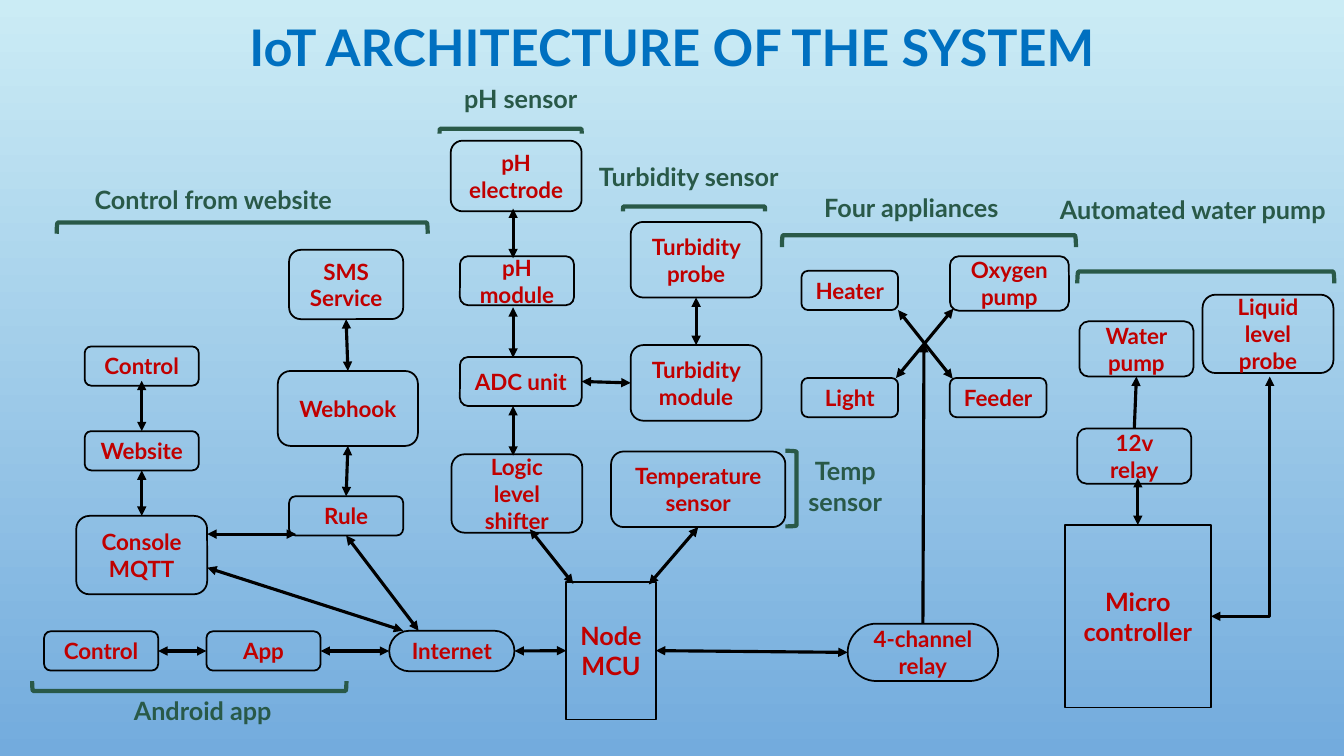
from typing import NamedTuple, Optional, Union

import lxml.etree
import pptx
import pptx.dml.color
import pptx.enum.shapes
import pptx.enum.text
import pptx.oxml.ns
import pptx.util

Pt = pptx.util.Pt
Shape = pptx.enum.shapes.MSO_SHAPE
Wire = pptx.enum.shapes.MSO_CONNECTOR
Align = pptx.enum.text.PP_ALIGN
Anchor = pptx.enum.text.MSO_ANCHOR
qn = pptx.oxml.ns.qn

FONT = "Lato"
BLACK, RED, GREEN, BLUE = "000000", "C00000", "295948", "0070C0"
ROUND, RECT = Shape.ROUNDED_RECTANGLE, Shape.RECTANGLE
TOP, LEFT, BOTTOM, RIGHT = range(4)


class Node(NamedTuple):
    key: str
    text: str
    x: float
    y: float
    w: float = 81.5
    h: float = 28
    form: int = ROUND
    size: int = 16
    curve: Optional[float] = None


class Point(NamedTuple):
    x: float
    y: float


class Joint(NamedTuple):
    key: str
    side: int


class Link(NamedTuple):
    start: Union[Point, Joint]
    end: Union[Point, Joint]
    both: bool = True
    bent: bool = False


class Group(NamedTuple):
    """A label with its bracket; turn 90 has the spine on top, 180 right, 270 below."""
    text: str
    label: tuple
    brace: tuple
    turn: int = 90
    align: int = Align.CENTER


NODES = [
    Node("mcu", "Node\nMCU", 404.5, 415.5, 64, 98.5, RECT, 18),
    Node("net", "Internet", 278, 450.5, 89.5, 29, curve=0.5),
    Node("app", "App", 147.5, 451),
    Node("phone", "Control", 31.5, 451),
    Node("mqtt", "Console MQTT", 54.5, 368.5, 93.5, 56),
    Node("site", "Website", 60.5, 308),
    Node("web", "Control", 60.5, 247.5),
    Node("rule", "Rule", 206.5, 354.5),
    Node("hook", "Webhook", 198.5, 265, 100, 53.5),
    Node("sms", "SMS Service", 206.5, 178.5, h=49.5),
    Node("shift", "Logic level shifter", 322.5, 324.5, 93.5, 56),
    Node("adc", "ADC unit", 328.5, 255, 87, 35),
    Node("ph", "pH module", 328.5, 183, h=35),
    Node("rod", "pH electrode", 322, 100.5, 93.5, 50.5),
    Node("turb", "Turbidity module", 450.5, 246.5, 93.5, 54),
    Node("probe", "Turbidity probe", 450.5, 158.5, 93.5, 54),
    Node("temp", "Temperature sensor", 436.5, 322.5, 124.5, 54),
    Node("four", "4-channel relay", 605.5, 445.5, 107.5, 41, curve=0.5),
    Node("light", "Light", 572.5, 270, 69),
    Node("feed", "Feeder", 678.5, 270, 69),
    Node("heat", "Heater", 572.5, 193.5, 69),
    Node("air", "Oxygen pump", 678.5, 183, 85, 39),
    Node("micro", "Micro\ncontroller", 760.5, 375, 104.5, 130.5, RECT, 18),
    Node("relay", "12v relay", 769.5, 306, h=39.5),
    Node("pump", "Water\npump", 771, 229.5, h=39.5),
    Node("level", "Liquid level probe", 859, 210.5, 93.5, 56),
]

LINKS = [
    Link(Joint("mcu", LEFT), Joint("net", RIGHT)),
    Link(Joint("net", LEFT), Joint("app", RIGHT)),
    Link(Joint("app", LEFT), Joint("phone", RIGHT)),
    Link(Point(288, 450.5), Point(148, 405.5)),
    Link(Joint("mqtt", TOP), Joint("site", BOTTOM)),
    Link(Joint("site", TOP), Point(101.25, 272)),
    Link(Point(299, 450.5), Joint("rule", BOTTOM)),
    Link(Joint("hook", TOP), Joint("sms", BOTTOM)),
    Link(Joint("rule", TOP), Joint("hook", BOTTOM)),
    Link(Point(148, 381.5), Point(211.5, 381.5)),
    Link(Point(366.5, 255.5), Point(366.5, 219.5)),
    Link(Point(366.5, 325.5), Point(366.5, 290)),
    Link(Point(366.5, 184.5), Point(366.5, 149)),
    Link(Point(409.5, 417), Point(378.5, 378)),
    Link(Joint("turb", TOP), Joint("probe", BOTTOM)),
    Link(Joint("adc", RIGHT), Joint("turb", LEFT)),
    Link(Point(463.5, 417.5), Joint("temp", BOTTOM)),
    Link(Joint("four", LEFT), Joint("mcu", RIGHT)),
    Link(Point(640, 270), Point(681, 220.5)),
    Link(Point(680.5, 270.5), Point(641.5, 221.5)),
    Link(Joint("four", TOP), Point(660, 245), both=False),
    Link(Joint("micro", TOP), Point(812.75, 341.5)),
    Link(Joint("relay", TOP), Joint("pump", BOTTOM), both=False),
    Link(Joint("micro", RIGHT), Point(907, 269), bent=True),
]

GROUPS = [
    Group("Android app", (88.5, 493, 131, 29), (23, 486.5, 224.5, 7), 270, Align.LEFT),
    Group("Control from website", (60.5, 128, 208, 29), (40.5, 159, 265, 8), align=Align.LEFT),
    Group("pH sensor", (268, 56, 208, 29), (314, 92, 101.5, 3.5)),
    Group("Turbidity sensor", (388, 111.5, 208, 29), (445, 147.5, 101.5, 3.5)),
    Group("Four appliances", (547, 134, 208, 29), (558.5, 168, 210, 8.5)),
    Group("Automated water pump", (748, 135.5, 208, 51), (769.5, 194, 183.5, 8.5)),
    Group("Temp\nsensor", (566, 322, 75.5, 51), (561, 322, 8, 54), 180),
]


def tint(code: str):
    return pptx.dml.color.RGBColor.from_string(code)


def write(frame, text: str, *, size: float, color: str, align=Align.CENTER,
          anchor=Anchor.TOP, space: float = 1.0) -> None:
    frame.word_wrap = True
    frame.vertical_anchor = anchor
    frame.text = text
    for para in frame.paragraphs:
        para.alignment = align
        para.line_spacing = space
        font = para.font
        font.name, font.size, font.bold = FONT, Pt(size), True
        font.color.rgb = tint(color)


def add_label(slide, text: str, area: tuple, **style) -> None:
    box = slide.shapes.add_textbox(*map(Pt, area))
    write(box.text_frame, text, **style)


def add_form(slide, form: int, area: tuple, color: str, width: float):
    """Add an unfilled preset shape."""
    shape = slide.shapes.add_shape(form, *map(Pt, area))
    shape.shadow.inherit = False
    shape.fill.background()
    shape.line.color.rgb = tint(color)
    shape.line.width = Pt(width)
    return shape


def add_node(slide, node: Node):
    shape = add_form(slide, node.form, (node.x, node.y, node.w, node.h), BLACK, 1.25)
    if node.curve is not None:
        shape.adjustments[0] = node.curve
    write(shape.text_frame, node.text, size=node.size, color=RED, anchor=Anchor.MIDDLE)
    return shape


def add_link(slide, link: Link, shapes: dict) -> None:
    kind = Wire.ELBOW if link.bent else Wire.STRAIGHT
    ends = [Point(0, 0) if isinstance(e, Joint) else e for e in (link.start, link.end)]
    wire = slide.shapes.add_connector(kind, *(Pt(v) for e in ends for v in e))
    for end, join in ((link.start, wire.begin_connect), (link.end, wire.end_connect)):
        if isinstance(end, Joint):
            join(shapes[end.key], end.side)
    wire.line.color.rgb = tint(BLACK)
    wire.line.width = Pt(2.25)
    props = wire._element.spPr
    if link.bent:
        props.find(qn("a:prstGeom")).set("prst", "bentConnector2")
    line = props.find(qn("a:ln"))
    for tag in ("a:headEnd", "a:tailEnd") if link.both else ("a:tailEnd",):
        lxml.etree.SubElement(line, qn(tag), type="triangle")
    lxml.etree.SubElement(props, qn("a:effectLst"))


def add_group(slide, group: Group) -> None:
    x, y, w, h = group.brace
    if group.turn != 180:
        x, y, w, h = x + (w - h) / 2, y + (h - w) / 2, h, w
    brace = add_form(slide, Shape.LEFT_BRACKET, (x, y, w, h), GREEN, 3)
    brace.rotation = group.turn
    add_label(slide, group.text, group.label, size=18, color=GREEN, align=group.align)


def main() -> None:
    deck = pptx.Presentation()
    deck.slide_width, deck.slide_height = Pt(960), Pt(540)
    slide = deck.slides.add_slide(deck.slide_layouts[6])
    fill = slide.background.fill
    fill.gradient()
    fill.gradient_angle = 270
    for stop, place, code in zip(fill.gradient_stops, (0, 1), ("CBECF5", "73ABDD")):
        stop.position = place
        stop.color.rgb = tint(code)
    add_label(slide, "IoT ARCHITECTURE OF THE SYSTEM", (72, 9.5, 816, 53), size=36,
              color=BLUE, anchor=Anchor.MIDDLE, space=0.9)
    shapes = {node.key: add_node(slide, node) for node in NODES}
    for link in LINKS:
        add_link(slide, link, shapes)
    for group in GROUPS:
        add_group(slide, group)
    deck.save("out.pptx")


if __name__ == "__main__":
    main()
